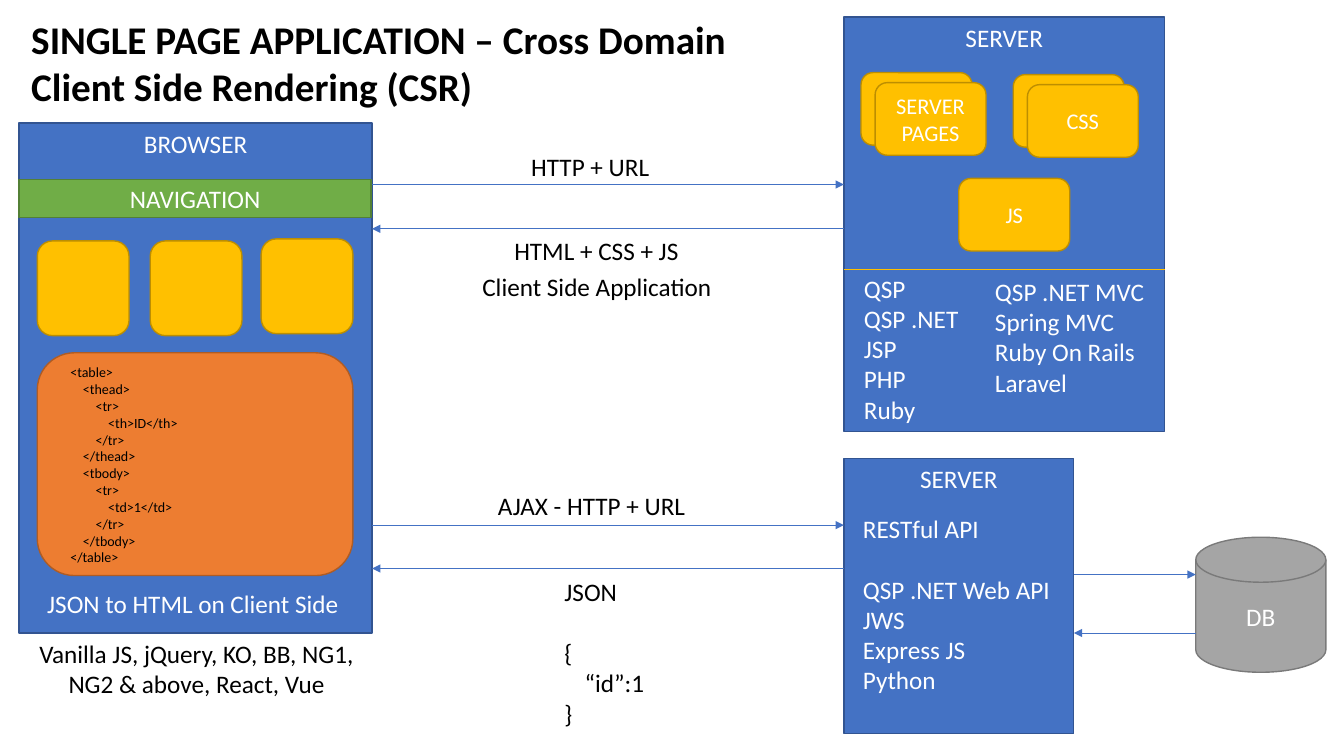
import pptx
import pptx.util
import pptx.dml.color
import pptx.enum.shapes
import pptx.enum.text
import pptx.oxml
import pptx.oxml.ns
from dataclasses import dataclass

Inches, Pt = pptx.util.Inches, pptx.util.Pt
Shape = pptx.enum.shapes.MSO_SHAPE
Align = pptx.enum.text.PP_ALIGN
Anchor = pptx.enum.text.MSO_ANCHOR


@dataclass(frozen=True)
class Theme:
    font: str = "Calibri"
    black: str = "000000"
    white: str = "FFFFFF"
    blue: tuple = ("4472C4", "325491")  # fill, outline
    gold: tuple = ("FFC000", "BD8E00")
    orange: tuple = ("ED7D31", "AF5C24")
    green: tuple = ("70AD47", "538035")
    gray: tuple = ("A5A5A5", "7A7A7A")
    title: int = 28
    text: int = 18
    tile: int = 16
    code: int = 10
    blank_line: int = 22


THEME = Theme()

# Content
TITLE = ["SINGLE PAGE APPLICATION – Cross Domain", "Client Side Rendering (CSR)"]

PANELS = [  # label, preset, (left, top, width, height), colours, anchor
    ("SERVER", Shape.RECTANGLE, (8.37, 0.17, 3.18, 4.11), THEME.blue, Anchor.TOP),
    ("SERVER", Shape.RECTANGLE, (8.37, 4.55, 2.28, 2.73), THEME.blue, Anchor.TOP),
    ("BROWSER", Shape.RECTANGLE, (0.19, 1.22, 3.5, 5.06), THEME.blue, Anchor.TOP),
    ("NAVIGATION", Shape.RECTANGLE, (0.19, 1.78, 3.49, 0.38), THEME.green, Anchor.MIDDLE),
    ("", Shape.ROUNDED_RECTANGLE, (0.37, 3.5, 3.13, 2.21), THEME.orange, Anchor.MIDDLE),
    ("DB", Shape.FLOWCHART_MAGNETIC_DISK, (11.86, 5.33, 1.29, 1.34), THEME.gray, Anchor.MIDDLE),
]

SERVER_TILES = [  # label, left, top, stacked
    ("SERVER PAGES", 8.68, 0.82, True),
    ("CSS", 10.19, 0.84, True),
    ("JS", 9.51, 1.77, False),
]
BROWSER_TILES = [(0.37, 2.39), (1.49, 2.39), (2.59, 2.37)]

ARROWS = [  # from x, to x, y
    (3.69, 8.37, 1.83),
    (8.37, 3.69, 2.27),
    (3.69, 8.37, 5.21),
    (8.37, 3.69, 5.64),
    (10.65, 11.86, 5.7),
    (11.86, 10.65, 6.28),
]

MARKUP = [
    "<table>",
    "    <thead>",
    "        <tr>",
    "            <th>ID</th>",
    "        </tr>",
    "    </thead>",
    "    <tbody>",
    "        <tr>",
    "            <td>1</td>",
    "        </tr>",
    "    </tbody>",
    "</table>",
]

ON_PANEL = dict(color=THEME.white)
CENTERED = dict(align=Align.CENTER)
TEXTS = [  # lines, (left, top, width, height), format
    (["QSP", "QSP .NET", "JSP", "PHP", "Ruby"], (8.47, 2.66, 1.21, 1.62), ON_PANEL),
    (["QSP .NET MVC", "Spring MVC", "Ruby On Rails", "Laravel"],
     (9.77, 2.69, 1.78, 1.31), ON_PANEL),
    (["RESTful API", "QSP .NET Web API", "JWS", "Express JS", "Python"],
     (8.46, 5.04, 2.18, 1.92), dict(ON_PANEL, gap_before=1)),
    (["JSON to HTML on Client Side"], (0.37, 5.79, 3.13, 0.4), ON_PANEL),
    (MARKUP, (0.6, 3.56, 2.44, 2.12), dict(size=THEME.code)),
    (["HTTP + URL"], (5.17, 1.45, 1.39, 0.4), {}),
    (["HTML + CSS + JS"], (4.99, 2.29, 1.85, 0.4), CENTERED),
    (["Client Side Application"], (4.67, 2.64, 2.5, 0.4), CENTERED),
    (["AJAX - HTTP + URL"], (4.84, 4.82, 2.08, 0.4), {}),
    (["JSON", "{", "“id”:1", "}"], (5.5, 5.67, 1, 1.62),
     dict(gap_before=1, indented=2)),
    (["Vanilla JS, jQuery, KO, BB, NG1,", "NG2 & above, React, Vue"],
     (0.27, 6.28, 3.36, 0.71), CENTERED),
]


def rgb(value):
    return pptx.dml.color.RGBColor.from_string(value)


def write(shape, lines, *, size=THEME.text, color=THEME.black, bold=False,
          align=Align.LEFT, anchor=Anchor.TOP, gap_before=None, indented=None):
    """Fill a shape; gap_before and indented are line indexes."""
    frame = shape.text_frame
    frame.word_wrap = True
    frame.auto_size = pptx.enum.text.MSO_AUTO_SIZE.NONE
    frame.vertical_anchor = anchor
    frame.margin_left = 0 if align == Align.CENTER else Inches(0.1)
    frame.margin_right = 0
    for index, line in enumerate(lines):
        para = frame.paragraphs[0] if index == 0 else frame.add_paragraph()
        para.alignment = align
        if index == gap_before:
            para.space_before = Pt(THEME.blank_line)
        if index == indented:
            para._p.get_or_add_pPr().set("marL", str(Inches(0.2)))
        span = para.add_run()
        span.text = line
        span.font.name = THEME.font
        span.font.size = Pt(size)
        span.font.bold = bold
        span.font.color.rgb = rgb(color)


def add_panel(page, preset, area, colors, label="", **style):
    panel = page.shapes.add_shape(preset, *map(Inches, area))
    panel.shadow.inherit = False
    panel.fill.solid()
    panel.fill.fore_color.rgb = rgb(colors[0])
    panel.line.color.rgb = rgb(colors[1])
    panel.line.width = Pt(1)
    if label:
        write(panel, [label], color=THEME.white, align=Align.CENTER, **style)


def add_line(page, start, end, y, color, arrow=True):
    line = page.shapes.add_connector(
        pptx.enum.shapes.MSO_CONNECTOR.STRAIGHT,
        Inches(start), Inches(y), Inches(end), Inches(y))
    line.line.color.rgb = rgb(color)
    line.line.width = Pt(0.5)
    if arrow:
        head = pptx.oxml.parse_xml(
            f'<a:tailEnd {pptx.oxml.ns.nsdecls("a")} type="triangle"/>')
        line.line._get_or_add_ln().append(head)
    line._element.spPr.append(
        pptx.oxml.parse_xml(f'<a:effectLst {pptx.oxml.ns.nsdecls("a")}/>'))


def main():
    deck = pptx.Presentation()
    deck.slide_width, deck.slide_height = Inches(13.33), Inches(7.5)
    page = deck.slides.add_slide(deck.slide_layouts[5])

    # Title
    title = page.shapes.title
    title.left, title.top, title.width, title.height = map(Inches, (0.21, 0.1, 7.17, 1.04))
    write(title, TITLE, size=THEME.title, bold=True)

    # Panels
    for label, preset, area, colors, anchor in PANELS:
        add_panel(page, preset, area, colors, label, anchor=anchor)

    # Tiles: a stacked one has a second tile behind it
    for label, left, top, stacked in SERVER_TILES:
        if stacked:
            add_panel(page, Shape.ROUNDED_RECTANGLE,
                      (left - 0.14, top - 0.1, 1.1, 0.72), THEME.gold)
        add_panel(page, Shape.ROUNDED_RECTANGLE, (left, top, 1.1, 0.72),
                  THEME.gold, label, size=THEME.tile, anchor=Anchor.MIDDLE)
    for left, top in BROWSER_TILES:
        add_panel(page, Shape.ROUNDED_RECTANGLE, (left, top, 0.91, 0.94), THEME.gold)

    # Divider and arrows
    add_line(page, 8.37, 11.55, 2.67, THEME.gold[0], arrow=False)
    for start, end, y in ARROWS:
        add_line(page, start, end, y, THEME.blue[0])

    # Lists and labels
    for lines, area, style in TEXTS:
        box = page.shapes.add_textbox(*map(Inches, area))
        write(box, lines, **style)

    deck.save("out.pptx")


if __name__ == "__main__":
    main()
